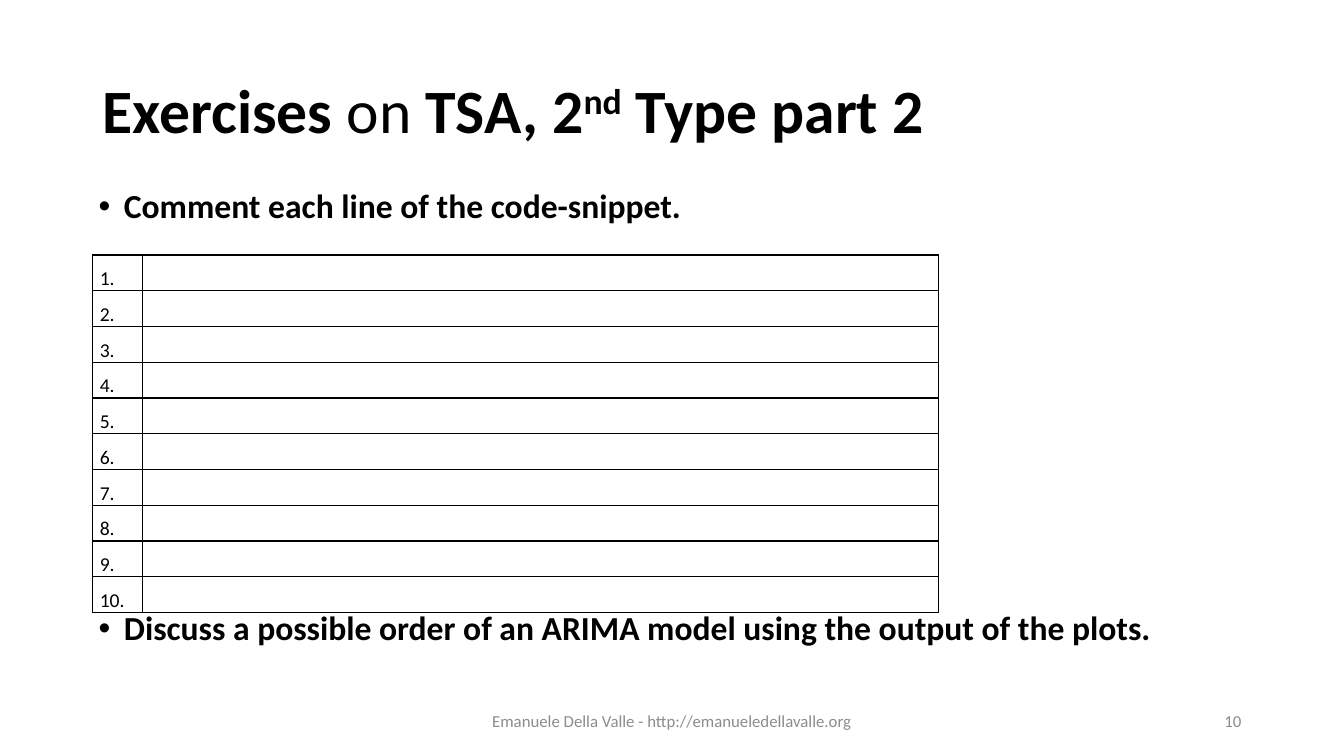
from dataclasses import dataclass

from lxml.etree import SubElement
from pptx import Presentation
from pptx.dml.color import RGBColor
from pptx.enum.text import MSO_ANCHOR as Anchor, PP_ALIGN as Align
from pptx.oxml.ns import qn
from pptx.util import Inches, Pt


@dataclass(frozen=True)
class Theme:
    """Colours, font and type sizes of the slide."""

    font: str = "Calibri"
    ink: RGBColor = RGBColor(0, 0, 0)
    muted: RGBColor = RGBColor(0x8C, 0x8C, 0x8C)
    title: int = 44
    body: int = 24
    cell: int = 14
    footer: int = 12


THEME = Theme()
WIDTH, HEIGHT = 13.33, 7.5
MARGIN = 0.92
LINE_COUNT = 10


def style_run(run, size, color=THEME.ink, bold=False):
    """Apply the theme font to a run."""
    run.font.name = THEME.font
    run.font.size = Pt(size)
    run.font.color.rgb = color
    run.font.bold = bold


def add_text_box(slide, box, anchor):
    """Add a wrapping text box and return its first paragraph."""
    frame = slide.shapes.add_textbox(*map(Inches, box)).text_frame
    frame.word_wrap = True
    frame.vertical_anchor = anchor
    return frame.paragraphs[0]


def add_title(slide, box, parts):
    """Place the title from (text, bold, superscript percent) parts."""
    paragraph = add_text_box(slide, box, Anchor.MIDDLE)
    paragraph.line_spacing = 0.9
    for text, bold, raised in parts:
        run = paragraph.add_run()
        run.text = text
        style_run(run, THEME.title, bold=bold)
        if raised:
            run.font._element.set("baseline", str(raised * 1000))


def add_bullet(slide, box, text):
    """Place one bold bulleted task."""
    paragraph = add_text_box(slide, box, Anchor.TOP)
    paragraph.text = text
    paragraph.line_spacing = 0.9
    paragraph.space_before = Pt(5)
    style_run(paragraph.runs[0], THEME.body, bold=True)
    properties = paragraph._p.get_or_add_pPr()
    properties.set("lvl", "1")
    properties.set("marL", str(Inches(0.75)))
    properties.set("indent", str(Inches(-0.25)))
    SubElement(properties, qn("a:buFont"), typeface="Arial")
    SubElement(properties, qn("a:buChar"), char="•")


def add_footer(slide, box, text, align):
    """Place a small grey footer text."""
    paragraph = add_text_box(slide, box, Anchor.MIDDLE)
    paragraph.text = text
    paragraph.alignment = align
    style_run(paragraph.runs[0], THEME.footer, THEME.muted)


def outline_cell(cell):
    """Draw a thin line on each side of a cell and leave it unfilled."""
    properties = cell._tc.get_or_add_tcPr()
    for side in ("lnL", "lnR", "lnT", "lnB"):
        line = SubElement(properties, qn(f"a:{side}"), w=str(Pt(1)))
        fill = SubElement(line, qn("a:solidFill"))
        SubElement(fill, qn("a:srgbClr"), val=str(THEME.ink))
    cell.fill.background()


def add_answer_table(slide, box, number_width):
    """Place the numbered table with an empty line for each comment."""
    left, top, width, height = map(Inches, box)
    table = slide.shapes.add_table(LINE_COUNT, 2, left, top, width, height).table
    table.first_row = table.horz_banding = False
    table.columns[0].width = Inches(number_width)
    table.columns[1].width = width - Inches(number_width)
    for number, row in enumerate(table.rows, 1):
        row.cells[0].text = f"{number}."
        for cell in row.cells:
            cell.margin_left = cell.margin_right = Inches(0.07)
            cell.margin_top = cell.margin_bottom = 0
            paragraph = cell.text_frame.paragraphs[0]
            paragraph.font.size = Pt(THEME.cell)
            paragraph.line_spacing = 1.5
            for run in paragraph.runs:
                style_run(run, THEME.cell)
            outline_cell(cell)


def build_exercise_slide(presentation):
    """Build the exercise slide."""
    slide = presentation.slides.add_slide(presentation.slide_layouts[6])
    content_width = WIDTH - 2 * MARGIN
    add_title(slide, (MARGIN, 0.4, content_width, 1.45), [
        ("Exercises", True, 0),
        (" on ", False, 0),
        ("TSA, 2", True, 0),
        ("nd", True, 30),
        (" Type part 2", True, 0),
    ])
    footer_top, footer_height = 6.95, 0.4
    add_footer(slide, ((WIDTH - 4.5) / 2, footer_top, 4.5, footer_height),
               "Emanuele Della Valle - http://emanueledellavalle.org", Align.CENTER)
    add_footer(slide, (WIDTH - MARGIN - 3, footer_top, 3, footer_height),
               "10", Align.RIGHT)
    add_answer_table(slide, (MARGIN, 2.53, 8.39, 3.55), 0.49)
    add_bullet(slide, (0.38, 1.83, 7.52, 0.63),
               "Comment each line of the code-snippet.")
    add_bullet(slide, (0.38, 6.02, 12.79, 0.63),
               "Discuss a possible order of an ARIMA model using the output of the plots.")


def main():
    """Create and save the presentation."""
    presentation = Presentation()
    presentation.slide_width = Inches(WIDTH)
    presentation.slide_height = Inches(HEIGHT)
    build_exercise_slide(presentation)
    presentation.save("out.pptx")


if __name__ == "__main__":
    main()
